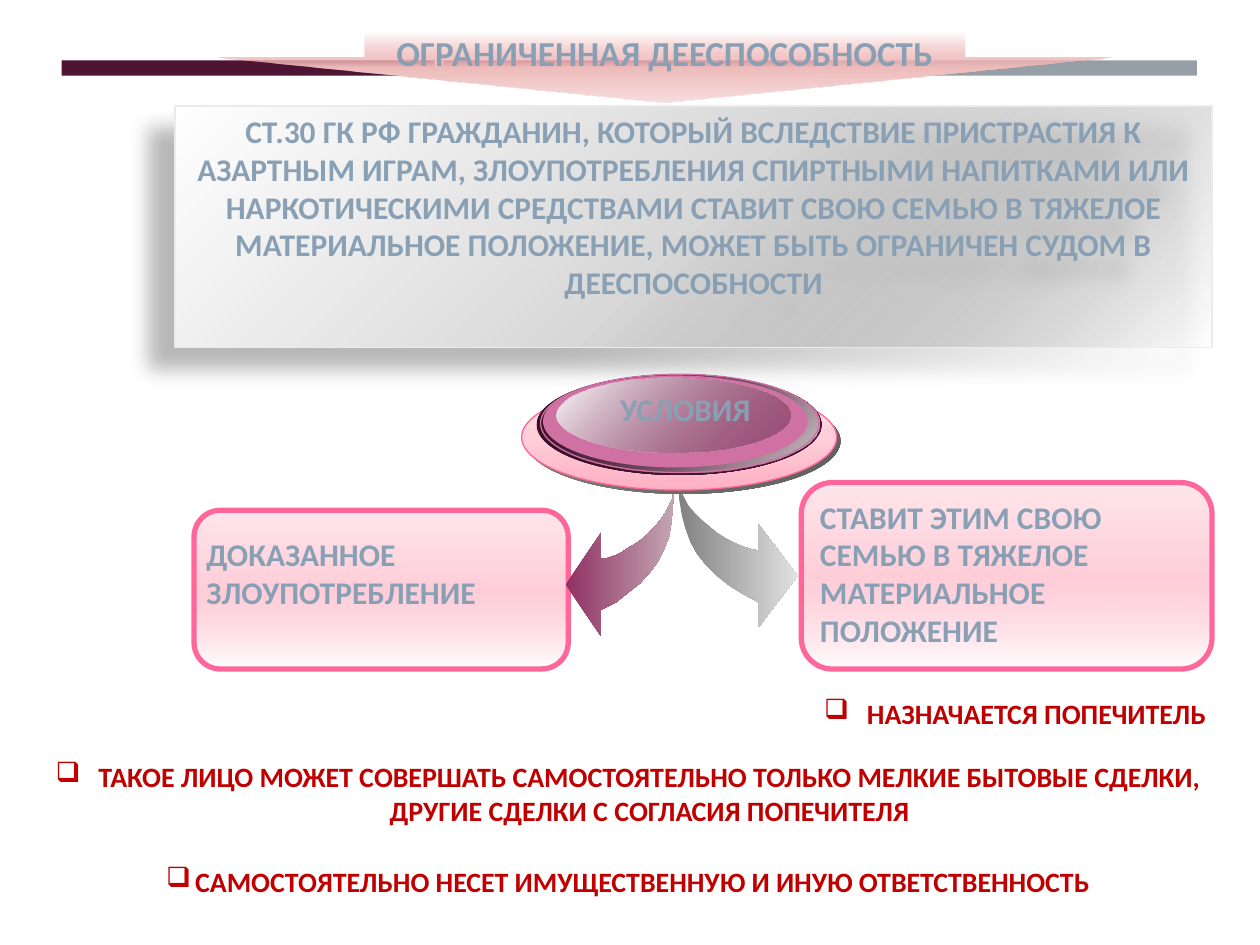
from dataclasses import dataclass
from lxml import etree
from pptx import Presentation
from pptx.dml.color import RGBColor
from pptx.enum.shapes import MSO_SHAPE as Shape
from pptx.enum.text import MSO_ANCHOR as Anchor, PP_ALIGN as Align
from pptx.oxml.ns import qn
from pptx.util import Inches, Pt


@dataclass(frozen=True)
class Theme:
    font: str = "Calibri"
    title: int = 20
    body: int = 18
    note: int = 16
    steel: str = "89A0B4"
    red: str = "C00000"
    white: str = "FFFFFF"
    plum: str = "4D1434"
    berry: str = "903163"
    slate: str = "969FA7"
    orchid: str = "CF71A2"
    pink: str = "FF6699"
    edge: str = "EBEBEB"
    # Gradient stops: position, colour, opacity (all in percent)
    silver: tuple = ((0, "979797", 0), (50, "D7D7D7", 100), (100, "FFFFFF", 100))
    blush: tuple = ((0, "FFAFC4", 100), (50, "FFCED9", 100), (100, "FFE7EC", 100))
    blush_fade: tuple = ((0, "FFAFC4", 0), (50, "FFCED9", 100), (100, "FFE7EC", 100))
    coral: tuple = ((0, "E98F8F", 0), (50, "EFBCBC", 100), (100, "F7DEDE", 100))
    berry_fade: tuple = ((0, "903163", 100), (100, "C2A7B2", 100))
    grey_fade: tuple = ((0, "828282", 100), (100, "E1E1E1", 100))
    shade: tuple = ((0, "828282", 100), (100, "5F5F5F", 100))
    dark: tuple = ((0, "370E25", 100), (100, "4D1434", 100))
    rim: tuple = ((0, "4D1434", 0), (100, "D7D4D5", 100))
    gloss: tuple = ((0, "FFFFFF", 100), (100, "4D1434", 38))


theme = Theme()


def paint(shape, fill, angle=0, line=None, width=0.75):
    """Fill with a colour or with gradient stops, and set the outline."""
    shape.shadow.inherit = False
    if line:
        shape.line.color.rgb = RGBColor.from_string(line)
        shape.line.width = Pt(width)
    else:
        shape.line.fill.background()
    if isinstance(fill, str):
        shape.fill.solid()
        shape.fill.fore_color.rgb = RGBColor.from_string(fill)
        return
    shape.fill.background()
    gradient = etree.Element(qn("a:gradFill"), rotWithShape="1")
    stops = etree.SubElement(gradient, qn("a:gsLst"))
    for position, color, opacity in fill:
        stop = etree.SubElement(stops, qn("a:gs"), pos=str(position * 1000))
        tone = etree.SubElement(stop, qn("a:srgbClr"), val=color)
        if opacity < 100:
            etree.SubElement(tone, qn("a:alpha"), val=str(opacity * 1000))
    etree.SubElement(gradient, qn("a:lin"), ang=str(angle * 60000), scaled="0")
    properties = shape._element.spPr
    properties.replace(properties.find(qn("a:noFill")), gradient)


def write(shape, text, size, color, align, anchor=Anchor.TOP, wrap=True, hang=0):
    """Set one bold paragraph; a hang in inches gives it a box bullet."""
    frame = shape.text_frame
    frame.word_wrap = wrap
    frame.vertical_anchor = anchor
    para = frame.paragraphs[0]
    para.text = text
    para.alignment = align
    para.font.name = theme.font
    para.font.size = Pt(size)
    para.font.bold = True
    para.font.color.rgb = RGBColor.from_string(color)
    if hang:
        settings = para._p.get_or_add_pPr()
        settings.set("marL", str(Inches(hang)))
        settings.set("indent", str(-Inches(hang)))
        bullet = etree.Element(qn("a:buChar"), char="❑")
        settings.insert(0, bullet)


deck = Presentation()
deck.slide_width, deck.slide_height = Inches(10), Inches(7.5)
page = deck.slides.add_slide(deck.slide_layouts[6])
shapes = page.shapes

# Header bars
for left, color in ((0.49, theme.plum), (6.54, theme.slate), (3.52, theme.berry)):
    bar = shapes.add_shape(Shape.RECTANGLE, Inches(left), Inches(0.48), Inches(2.96), Inches(0.12))
    paint(bar, color)

# Definition card with a soft shadow
card = shapes.add_shape(Shape.RECTANGLE, Inches(1.39), Inches(0.84), Inches(8.23), Inches(1.92))
paint(card, theme.silver, 225, theme.edge)
write(card, "СТ.30 ГК РФ ГРАЖДАНИН, КОТОРЫЙ ВСЛЕДСТВИЕ ПРИСТРАСТИЯ К АЗАРТНЫМ ИГРАМ, "
      "ЗЛОУПОТРЕБЛЕНИЯ СПИРТНЫМИ НАПИТКАМИ ИЛИ НАРКОТИЧЕСКИМИ СРЕДСТВАМИ СТАВИТ СВОЮ "
      "СЕМЬЮ В ТЯЖЕЛОЕ МАТЕРИАЛЬНОЕ ПОЛОЖЕНИЕ, МОЖЕТ БЫТЬ ОГРАНИЧЕН СУДОМ В ДЕЕСПОСОБНОСТИ",
      theme.body, theme.steel, Align.CENTER)
shadow = etree.SubElement(card._element.spPr.find(qn("a:effectLst")), qn("a:outerShdw"),
                          blurRad=str(Pt(11.8)), dist=str(Pt(19.7)), dir=str(141 * 60000),
                          algn="tl", rotWithShape="0")
shadow_color = etree.SubElement(shadow, qn("a:srgbClr"), val="000000")
etree.SubElement(shadow_color, qn("a:alpha"), val="28000")

# Condition panels
for left, top, width, height in ((6.36, 3.83, 3.26, 1.48), (1.54, 4.05, 2.97, 1.26)):
    panel = shapes.add_shape(Shape.ROUNDED_RECTANGLE, Inches(left), Inches(top),
                             Inches(width), Inches(height))
    paint(panel, theme.blush_fade, 270, theme.pink, 3)

# Curved arrows, in hundredths of an inch
left_arrow = [(535, 389), (534, 402), (533, 414), (531, 426), (527, 436), (522, 446), (516, 454),
              (508, 463), (499, 470), (489, 478), (477, 484), (477, 505), (449, 464), (477, 423),
              (477, 443), (482, 443), (488, 441), (494, 438), (500, 434), (507, 430), (513, 425),
              (519, 419), (524, 413), (528, 407), (531, 401), (534, 395), (534, 389)]
right_arrow = [(539, 383), (539, 396), (541, 408), (544, 419), (548, 430), (553, 439), (560, 448),
               (568, 456), (578, 464), (589, 471), (602, 478), (602, 498), (633, 457), (602, 416),
               (602, 437), (597, 436), (590, 434), (583, 431), (577, 428), (569, 423), (563, 418),
               (557, 413), (551, 407), (546, 401), (543, 395), (540, 389)]
for points, fill in ((left_arrow, theme.berry_fade), (right_arrow, theme.grey_fade)):
    builder = shapes.build_freeform(*points[0], scale=Inches(0.01))
    builder.add_line_segments(points[1:], close=True)
    paint(builder.convert_to_shape(), fill)

# Layered oval button
for left, top, width, height, fill, angle, line in (
    (4.17, 3.08, 2.5, 0.84, theme.shade, 45, None),
    (4.14, 3.05, 2.5, 0.84, theme.blush, 270, theme.pink),
    (4.26, 2.97, 2.26, 0.8, theme.dark, 45, None),
    (4.29, 2.97, 2.21, 0.78, theme.rim, 45, theme.orchid),
    (4.31, 2.98, 2.1, 0.73, theme.orchid, 0, None),
    (4.42, 3, 1.85, 0.59, theme.gloss, 45, None),
):
    oval = shapes.add_shape(Shape.OVAL, Inches(left), Inches(top), Inches(width), Inches(height))
    paint(oval, fill, angle, line)

# Labels on the button and panels
for left, top, width, height, text, align in (
    (4.33, 3.05, 2.22, 0.5, "УСЛОВИЯ", Align.CENTER),
    (1.54, 4.2, 2.92, 0.71, "ДОКАЗАННОЕ ЗЛОУПОТРЕБЛЕНИЕ", Align.LEFT),
    (6.41, 3.9, 3.2, 1.31, "СТАВИТ ЭТИМ СВОЮ СЕМЬЮ В ТЯЖЕЛОЕ МАТЕРИАЛЬНОЕ ПОЛОЖЕНИЕ", Align.LEFT),
):
    label = shapes.add_textbox(Inches(left), Inches(top), Inches(width), Inches(height))
    write(label, text, theme.body, theme.steel, align)

# Title arrow
title = shapes.add_shape(Shape.DOWN_ARROW, Inches(1.72), Inches(0.26), Inches(7.11), Inches(0.55))
title.adjustments[0], title.adjustments[1] = 0.67, 0.64
paint(title, theme.coral, 90)
write(title, "ОГРАНИЧЕННАЯ ДЕЕСПОСОБНОСТЬ", theme.title, theme.steel, Align.CENTER,
      Anchor.MIDDLE, wrap=False)

# Consequences
for left, top, width, height, text, align, fill, hang in (
    (0.29, 5.98, 9.39, 0.64, "ТАКОЕ ЛИЦО МОЖЕТ СОВЕРШАТЬ САМОСТОЯТЕЛЬНО ТОЛЬКО МЕЛКИЕ БЫТОВЫЕ "
     "СДЕЛКИ, ДРУГИЕ СДЕЛКИ С СОГЛАСИЯ ПОПЕЧИТЕЛЯ", Align.CENTER, theme.white, 0.34),
    (2.87, 5.48, 6.8, 0.37, "НАЗНАЧАЕТСЯ ПОПЕЧИТЕЛЬ", Align.RIGHT, None, 0.34),
    (0.28, 6.81, 9.41, 0.37, "САМОСТОЯТЕЛЬНО НЕСЕТ ИМУЩЕСТВЕННУЮ И ИНУЮ ОТВЕТСТВЕННОСТЬ",
     Align.CENTER, theme.white, 0.23),
):
    area = Inches(left), Inches(top), Inches(width), Inches(height)
    if fill:
        note = shapes.add_shape(Shape.RECTANGLE, *area)
        paint(note, fill)
    else:
        note = shapes.add_textbox(*area)
    write(note, text, theme.note, theme.red, align, hang=hang)

deck.save("out.pptx")
